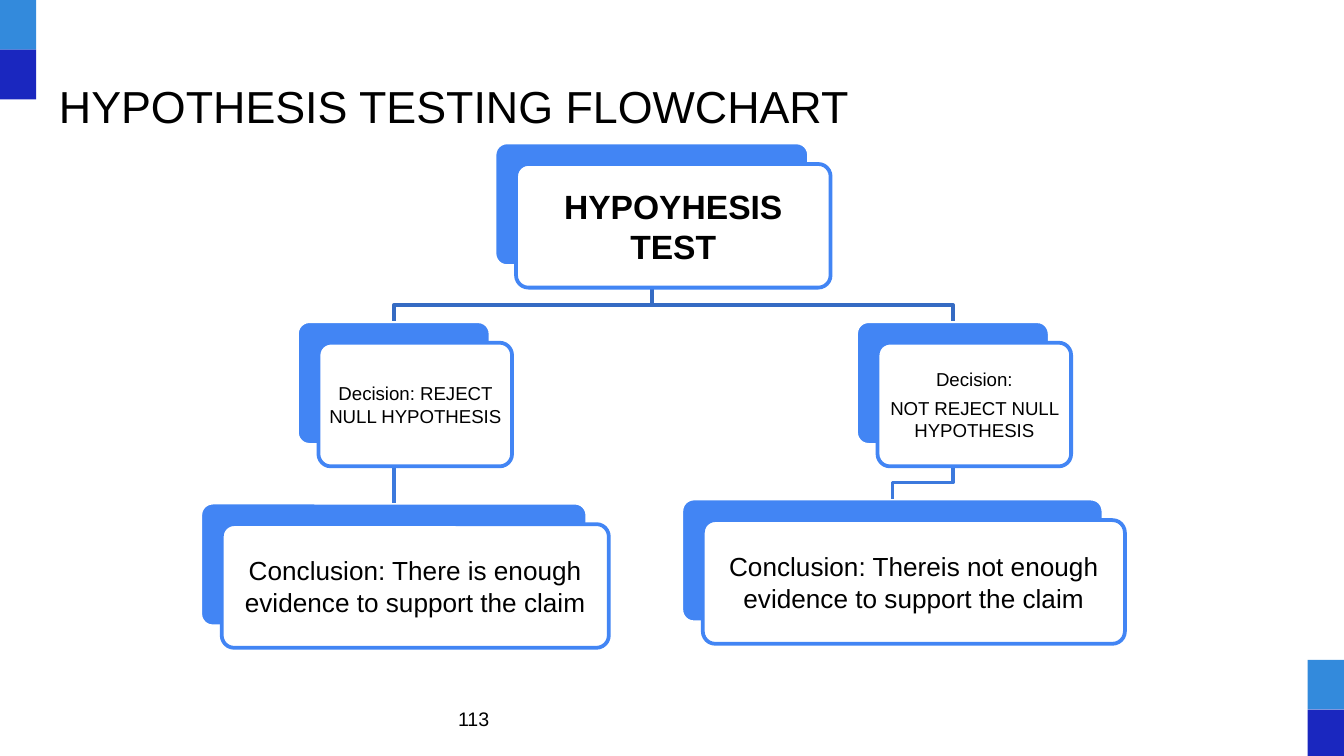
from dataclasses import dataclass

from lxml.etree import SubElement
from pptx import Presentation
from pptx.dml.color import RGBColor
from pptx.enum.shapes import MSO_CONNECTOR, MSO_SHAPE
from pptx.enum.text import MSO_ANCHOR, PP_ALIGN
from pptx.oxml.ns import qn
from pptx.util import Inches, Pt

BLACK = RGBColor(0x00, 0x00, 0x00)
WHITE = RGBColor(0xFF, 0xFF, 0xFF)
CARD_BLUE = RGBColor(0x42, 0x85, 0xF4)
UPPER_LINE = RGBColor(0x35, 0x6B, 0xC3)
LOWER_LINE = RGBColor(0x3C, 0x79, 0xDD)
LIGHT_CORNER = RGBColor(0x33, 0x8A, 0xDC)
DARK_CORNER = RGBColor(0x1A, 0x27, 0xBF)

PAGE_WIDTH = 10
PAGE_HEIGHT = PAGE_WIDTH * 9 / 16
CARD_HEIGHT = 0.92
CARD_OFFSET = 0.16
ELBOW_RISE = 0.12
CORNER_WIDTH = 0.27
CORNER_HEIGHT = 0.37


@dataclass
class Card:
    left: float
    top: float
    width: float
    size: float
    inset: float
    lines: tuple
    bold: bool = False

    @property
    def middle(self):
        return self.left + self.width / 2

    @property
    def bottom(self):
        return self.top + CARD_HEIGHT


TEST = Card(3.68, 1.06, 2.34, 18, 0.04, ("HYPOYHESIS TEST",), True)
REJECT = Card(2.21, 2.39, 1.44, 10, 0.01, ("Decision: REJECT NULL HYPOTHESIS",))
KEEP = Card(6.37, 2.39, 1.44, 10, 0.01, ("Decision:", "NOT REJECT NULL HYPOTHESIS"))
ENOUGH = Card(1.49, 3.74, 2.88, 14, 0.03,
              ("Conclusion: There is enough evidence to support the claim",))
NOT_ENOUGH = Card(5.07, 3.71, 3.14, 14, 0.03,
                  ("Conclusion: Thereis not enough evidence to support the claim",))
CARDS = (TEST, REJECT, ENOUGH, KEEP, NOT_ENOUGH)


def style_paragraph(paragraph, text, size, bold=False):
    paragraph.text = text
    paragraph.font.name = "Arial"
    paragraph.font.size = Pt(size)
    paragraph.font.bold = bold
    paragraph.font.color.rgb = BLACK


def add_corner(page, left, top):
    for row, color in enumerate((LIGHT_CORNER, DARK_CORNER)):
        square = page.shapes.add_shape(
            MSO_SHAPE.RECTANGLE, Inches(left), Inches(top + row * CORNER_HEIGHT),
            Inches(CORNER_WIDTH), Inches(CORNER_HEIGHT))
        square.shadow.inherit = False
        square.fill.solid()
        square.fill.fore_color.rgb = color
        square.line.fill.background()


def add_label(page, left, top, width, height, text, size, inset, anchor):
    box = page.shapes.add_textbox(Inches(left), Inches(top), Inches(width), Inches(height))
    frame = box.text_frame
    frame.word_wrap = True
    frame.vertical_anchor = anchor
    frame.margin_left = frame.margin_right = Inches(0.1)
    frame.margin_top = frame.margin_bottom = Inches(inset)
    style_paragraph(frame.paragraphs[0], text, size)


def add_rounded(page, card, shift, fill, line):
    shape = page.shapes.add_shape(
        MSO_SHAPE.ROUNDED_RECTANGLE, Inches(card.left + shift), Inches(card.top + shift),
        Inches(card.width), Inches(CARD_HEIGHT))
    shape.adjustments[0] = 0.1
    shape.shadow.inherit = False
    shape.fill.solid()
    shape.fill.fore_color.rgb = fill
    shape.line.color.rgb = line
    shape.line.width = Pt(2)
    return shape


def add_front(page, card):
    front = add_rounded(page, card, CARD_OFFSET, WHITE, CARD_BLUE)
    frame = front.text_frame
    frame.word_wrap = True
    frame.vertical_anchor = MSO_ANCHOR.MIDDLE
    frame.margin_left = frame.margin_right = Inches(card.inset)
    frame.margin_top = frame.margin_bottom = Inches(card.inset)
    for index, line in enumerate(card.lines):
        paragraph = frame.add_paragraph() if index else frame.paragraphs[0]
        style_paragraph(paragraph, line, card.size, card.bold)
        paragraph.alignment = PP_ALIGN.CENTER
        paragraph.space_after = Pt(card.size * 0.35)


def add_elbow(page, parent, child, color):
    turn = child.top - ELBOW_RISE
    corners = ((parent.middle, turn), (child.middle, turn), (child.middle, child.top))
    builder = page.shapes.build_freeform(
        Inches(parent.middle), Inches(parent.bottom), scale=1.0)
    builder.add_line_segments([(Inches(x), Inches(y)) for x, y in corners], close=False)
    elbow = builder.convert_to_shape()
    elbow.shadow.inherit = False
    elbow.fill.background()
    elbow.line.color.rgb = color
    elbow.line.width = Pt(2)


def add_straight(page, parent, child, color):
    line = page.shapes.add_connector(MSO_CONNECTOR.STRAIGHT, 0, 0, 0, 0)
    line.begin_connect(parent, 2)
    line.end_connect(child, 0)
    line.line.color.rgb = color
    line.line.width = Pt(2)
    SubElement(line._element.spPr, qn("a:effectLst"))


def main():
    deck = Presentation()
    deck.slide_width = Inches(PAGE_WIDTH)
    deck.slide_height = Inches(PAGE_HEIGHT)
    page = deck.slides.add_slide(deck.slide_layouts[6])

    add_corner(page, 0, 0)
    add_corner(page, PAGE_WIDTH - CORNER_WIDTH, 4.91)
    add_label(page, 0.34, 0.47, 9.32, 0.63, "HYPOTHESIS TESTING FLOWCHART", 24, 0.1,
              MSO_ANCHOR.MIDDLE)

    backs = [add_rounded(page, card, 0, CARD_BLUE, WHITE) for card in CARDS]
    add_elbow(page, TEST, REJECT, UPPER_LINE)
    add_elbow(page, TEST, KEEP, UPPER_LINE)
    add_elbow(page, KEEP, NOT_ENOUGH, LOWER_LINE)
    add_straight(page, backs[CARDS.index(REJECT)], backs[CARDS.index(ENOUGH)], LOWER_LINE)
    for card in CARDS:
        add_front(page, card)

    add_label(page, 3.31, 5.21, 3.38, 0.3, "113", 10.5, 0.05, MSO_ANCHOR.TOP)
    deck.save("out.pptx")


if __name__ == "__main__":
    main()
